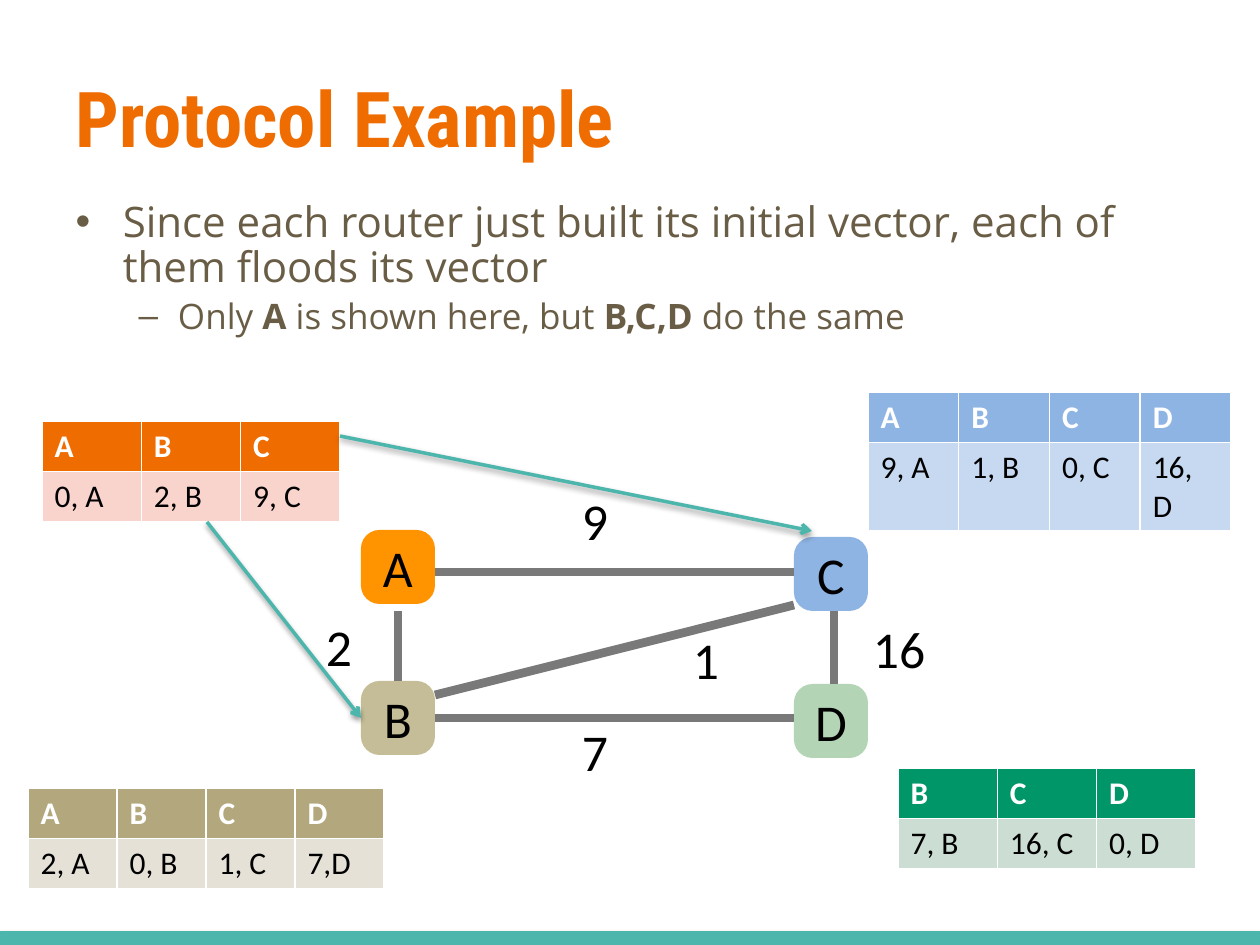
from dataclasses import dataclass
from typing import Optional

import pptx
import pptx.dml.color
import pptx.enum.shapes
import pptx.enum.text
import pptx.oxml
import pptx.oxml.ns
import pptx.util

EMU_PER_PX = 914400 / 126
NODE_SIZE = 74
ROW_HEIGHT = 50
TOP, LEFT, BOTTOM, RIGHT = range(4)
GRAY, TEAL, BROWN, BLACK, WHITE = "797979", "4DB6AC", "695D46", "000000", "FFFFFF"


@dataclass
class Node:
    name: str
    left: int
    top: int
    fill: str


@dataclass
class Label:
    text: str
    left: int
    top: int
    width: int


@dataclass
class Line:
    start: tuple[int, int]
    end: tuple[int, int]
    color: str = GRAY
    width: float = 5
    arrow: bool = False
    shadow: bool = False
    begin_joint: Optional[tuple[str, int]] = None
    end_joint: Optional[tuple[str, int]] = None


@dataclass
class VectorTable:
    left: int
    top: int
    width: int
    header_fill: str
    body_fill: str
    rows: list[list[str]]


NODES = [
    Node("B", 361, 681, "C4BD97"),
    Node("D", 794, 684, "B3D5B5"),
    Node("A", 361, 530, "FF9300"),
    Node("C", 794, 537, "8EB4E3"),
]
LINKS = [
    Line((398, 611), (398, 681), end_joint=("B", TOP)),
    Line((435, 718), (794, 718), begin_joint=("B", RIGHT)),
    Line((834, 611), (834, 684)),
    Line((435, 572), (794, 572)),
    Line((435, 695), (794, 605)),
]
FLOODS = [
    Line((340, 436), (812, 531), TEAL, 2, arrow=True, shadow=True),
    Line((207, 522), (361, 718), TEAL, 2, arrow=True, shadow=True, end_joint=("B", LEFT)),
]
COSTS = [
    Label("7", 577, 714, 37),
    Label("2", 321, 609, 37),
    Label("16", 868, 611, 63),
    Label("9", 577, 483, 37),
    Label("1", 688, 622, 37),
]
TABLES = [
    VectorTable(42, 421, 298, "EF6C00", "F9D4CC",
                [["A", "B", "C"], ["0, A", "2, B", "9, C"]]),
    VectorTable(898, 768, 298, "009668", "CCDDD4",
                [["B", "C", "D"], ["7, B", "16, C", "0, D"]]),
    VectorTable(28, 788, 356, "B3A77D", "E5E1D7",
                [["A", "B", "C", "D"], ["2, A", "0, B", "1, C", "7,D"]]),
    VectorTable(868, 392, 363, "8EB4E3", "C6D9F1",
                [["A", "B", "C", "D"], ["9, A", "1, B", "0, C", "16, D"]]),
]
# Each body paragraph: level, size, and runs with their bold flag
BODY = [
    (0, 24, [("Since each router just built its initial vector, "
              "each of them floods its vector", False)]),
    (1, 20, [("Only ", False), ("A", True), (" is shown here, but ", False),
             ("B,C,D", True), (" do the same", False)]),
]


def px(value: float) -> int:
    return round(value * EMU_PER_PX)


def color(hex_string: str) -> pptx.dml.color.RGBColor:
    return pptx.dml.color.RGBColor.from_string(hex_string)


def place(shape, left: int, top: int, width: int, height: int) -> None:
    shape.left, shape.top = px(left), px(top)
    shape.width, shape.height = px(width), px(height)


def format_runs(paragraph, size: float, font: str, hex_color: str, bold: bool = False) -> None:
    for run in paragraph.runs:
        run.font.size = pptx.util.Pt(size)
        run.font.name = font
        run.font.color.rgb = color(hex_color)
        run.font.bold = bold


def set_insets(text_frame, inset: int) -> None:
    text_frame.margin_left = text_frame.margin_right = px(inset)
    text_frame.margin_top = text_frame.margin_bottom = px(inset)
    text_frame.vertical_anchor = pptx.enum.text.MSO_ANCHOR.MIDDLE


def draw_title(title) -> None:
    place(title, 63, 38, 1134, 157)
    title.text_frame.text = "Protocol Example"
    paragraph = title.text_frame.paragraphs[0]
    paragraph.alignment = pptx.enum.text.PP_ALIGN.LEFT
    format_runs(paragraph, 44, "Roboto Condensed", "EF6C00", bold=True)


def draw_body(body) -> None:
    place(body, 63, 195, 1134, 624)
    text_frame = body.text_frame
    text_frame.auto_size = pptx.enum.text.MSO_AUTO_SIZE.NONE
    for index, (level, size, parts) in enumerate(BODY):
        paragraph = text_frame.add_paragraph() if index else text_frame.paragraphs[0]
        paragraph.level = level
        paragraph.line_spacing = 0.9
        for text, _ in parts:
            paragraph.add_run().text = text
        format_runs(paragraph, size, "Open Sans", BROWN)
        for run, (_, bold) in zip(paragraph.runs, parts):
            run.font.bold = bold


def draw_node(slide, node: Node):
    shape = slide.shapes.add_shape(
        pptx.enum.shapes.MSO_SHAPE.ROUNDED_RECTANGLE,
        px(node.left), px(node.top), px(NODE_SIZE), px(NODE_SIZE))
    shape.adjustments[0] = 0.25
    shape.shadow.inherit = False
    shape.fill.solid()
    shape.fill.fore_color.rgb = color(node.fill)
    shape.line.fill.background()
    set_insets(shape.text_frame, 0)
    shape.text_frame.text = node.name
    paragraph = shape.text_frame.paragraphs[0]
    paragraph.alignment = pptx.enum.text.PP_ALIGN.CENTER
    format_runs(paragraph, 29.5, "Calibri", BLACK)
    return shape


def draw_label(slide, label: Label) -> None:
    box = slide.shapes.add_textbox(px(label.left), px(label.top), px(label.width), px(73))
    set_insets(box.text_frame, 5)
    box.text_frame.word_wrap = False
    box.text_frame.auto_size = pptx.enum.text.MSO_AUTO_SIZE.SHAPE_TO_FIT_TEXT
    box.text_frame.text = label.text
    format_runs(box.text_frame.paragraphs[0], 29.5, "Calibri", BLACK)


def draw_line(slide, line: Line, nodes: dict) -> None:
    connector = slide.shapes.add_connector(
        pptx.enum.shapes.MSO_CONNECTOR.STRAIGHT, *map(px, line.start + line.end))
    connector.line.color.rgb = color(line.color)
    connector.line.width = pptx.util.Pt(line.width)
    if line.begin_joint:
        connector.begin_connect(nodes[line.begin_joint[0]], line.begin_joint[1])
    if line.end_joint:
        connector.end_connect(nodes[line.end_joint[0]], line.end_joint[1])
    if line.arrow:
        connector.line._get_or_add_ln().append(pptx.oxml.parse_xml(
            f'<a:tailEnd {pptx.oxml.ns.nsdecls("a")} type="arrow"/>'))
    shadow = ('<a:outerShdw blurRad="40000" dist="20000" dir="5400000" rotWithShape="0">'
              '<a:srgbClr val="000000"><a:alpha val="38000"/></a:srgbClr></a:outerShdw>')
    connector._element.spPr.append(pptx.oxml.parse_xml(
        f'<a:effectLst {pptx.oxml.ns.nsdecls("a")}>{shadow if line.shadow else ""}</a:effectLst>'))


def draw_table(slide, vector: VectorTable) -> None:
    # The default table style supplies the white cell borders
    table = slide.shapes.add_table(
        len(vector.rows), len(vector.rows[0]), px(vector.left), px(vector.top),
        px(vector.width), px(ROW_HEIGHT * len(vector.rows))).table
    for row_index, row in enumerate(vector.rows):
        is_header = row_index == 0
        for column_index, text in enumerate(row):
            cell = table.cell(row_index, column_index)
            cell.fill.solid()
            cell.fill.fore_color.rgb = color(vector.header_fill if is_header else vector.body_fill)
            cell.text_frame.text = text
            format_runs(cell.text_frame.paragraphs[0], 18, "Calibri",
                        WHITE if is_header else BLACK, bold=is_header)


def main() -> None:
    presentation = pptx.Presentation()
    presentation.slide_width, presentation.slide_height = px(1260), px(945)
    slide = presentation.slides.add_slide(presentation.slide_layouts[1])

    # Title, list and bottom rule
    draw_title(slide.shapes.title)
    draw_body(slide.placeholders[1])
    draw_line(slide, Line((0, 940), (1260, 940), TEAL, 10, shadow=True), {})

    # Network of routers with link costs
    nodes = {node.name: draw_node(slide, node) for node in NODES}
    for link in LINKS:
        draw_line(slide, link, nodes)
    for cost in COSTS:
        draw_label(slide, cost)

    # Distance vectors and the flooding from A
    for vector in TABLES:
        draw_table(slide, vector)
    for flood in FLOODS:
        draw_line(slide, flood, nodes)

    presentation.save("out.pptx")


if __name__ == "__main__":
    main()
